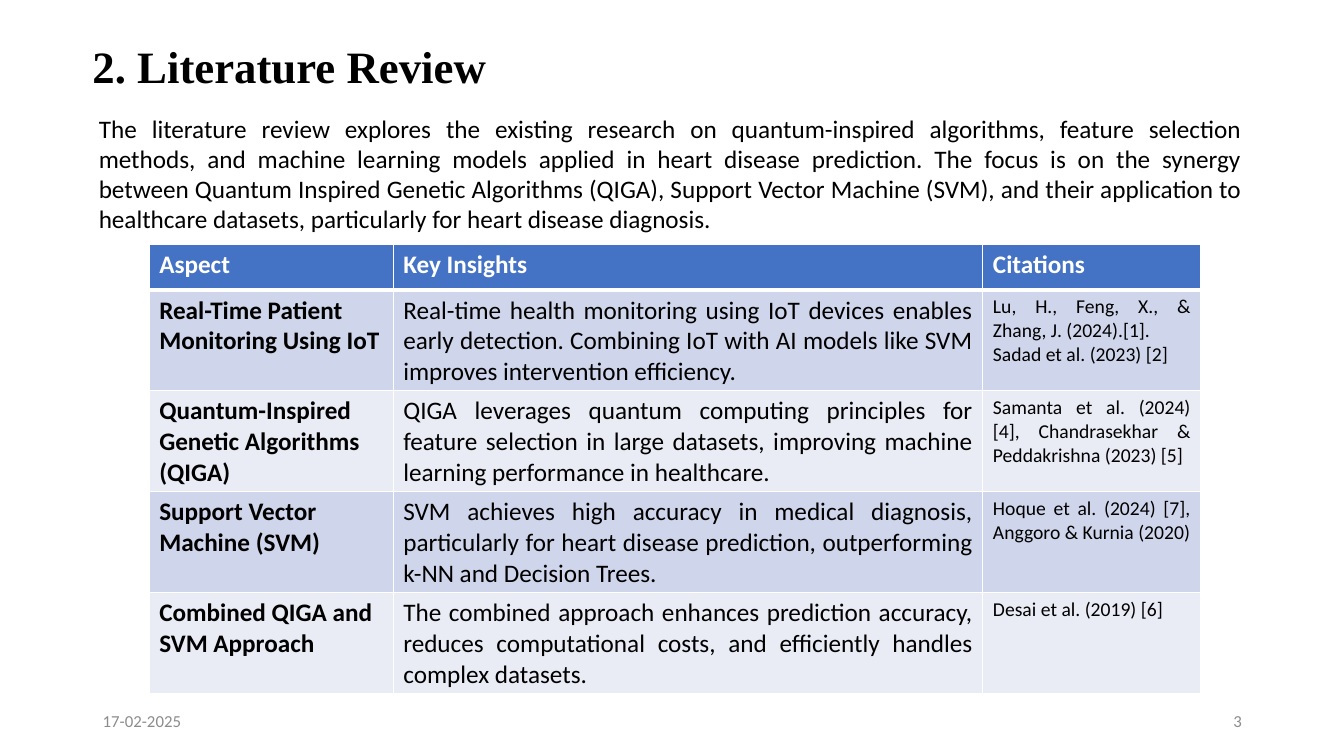
"""Builds the literature review slide with its table of key insights."""
from lxml.etree import SubElement
from pptx import Presentation
from pptx.dml.color import RGBColor
from pptx.enum.text import MSO_ANCHOR, MSO_AUTO_SIZE, PP_ALIGN
from pptx.oxml.ns import qn
from pptx.util import Cm, Pt

COLORS = {"black": "000000", "white": "FFFFFF", "grey": "8C8C8C",
          "header": "4472C4", "odd": "CFD5EA", "even": "E9EBF5"}

INTRO = ("The literature review explores the existing research on quantum-inspired algorithms, "
         "feature selection methods, and machine learning models applied in heart disease "
         "prediction. The focus is on the synergy between Quantum Inspired Genetic Algorithms "
         "(QIGA), Support Vector Machine (SVM), and their application to healthcare datasets, "
         "particularly for heart disease diagnosis.")

HEADINGS = ("Aspect", "Key Insights", "Citations")
REVIEW = [
    ("Real-Time Patient Monitoring Using IoT",
     "Real-time health monitoring using IoT devices enables early detection. Combining IoT "
     "with AI models like SVM improves intervention efficiency.",
     "Lu, H., Feng, X., & Zhang, J. (2024).[1].\nSadad et al. (2023) [2]"),
    ("Quantum-Inspired Genetic Algorithms (QIGA)",
     "QIGA leverages quantum computing principles for feature selection in large datasets, "
     "improving machine learning performance in healthcare.",
     "Samanta et al. (2024) [4], Chandrasekhar & Peddakrishna (2023) [5]"),
    ("Support Vector Machine (SVM)",
     "SVM achieves high accuracy in medical diagnosis, particularly for heart disease "
     "prediction, outperforming k-NN and Decision Trees.",
     "Hoque et al. (2024) [7], Anggoro & Kurnia (2020)"),
    ("Combined QIGA and SVM Approach",
     "The combined approach enhances prediction accuracy, reduces computational costs, and "
     "efficiently handles complex datasets.",
     "Desai et al. (2019) [6]"),
]
COLUMN_WIDTHS = (6.15, 14.86, 5.49)
COLUMN_STYLES = ({"bold": True},
                 {"align": PP_ALIGN.JUSTIFY},
                 {"align": PP_ALIGN.JUSTIFY, "size": 14})
HEADER_HEIGHT, ROW_HEIGHT = 1.14, 2.54


class ReviewSlide:
    """Holds the text style and the current slide."""

    def __init__(self, slide):
        self.slide = slide
        self.font = {"name": "Calibri", "size": Pt(18), "bold": False}

    def fill_text(self, frame, text, color="black", align=PP_ALIGN.LEFT, size=18, **font):
        """Fill a text frame, one paragraph per line of text."""
        frame.text = text
        values = {**self.font, "size": Pt(size), **font}
        for paragraph in frame.paragraphs:
            paragraph.alignment = align
            for run in paragraph.runs:
                for attribute, value in values.items():
                    setattr(run.font, attribute, value)
                run.font.color.rgb = RGBColor.from_string(COLORS[color])

    def text(self, box, text, wrap=True, anchor=MSO_ANCHOR.TOP,
             fit=MSO_AUTO_SIZE.NONE, **style):
        """Add a text box."""
        frame = self.slide.shapes.add_textbox(*map(Cm, box)).text_frame
        layout = {"word_wrap": wrap, "vertical_anchor": anchor, "auto_size": fit}
        for attribute, value in layout.items():
            setattr(frame, attribute, value)
        self.fill_text(frame, text, **style)

    def border(self, cell, **widths):
        """Draw white cell borders, with widths in points by side."""
        properties = cell._tc.get_or_add_tcPr()
        for side, width in widths.items():
            line = SubElement(properties, qn(f"a:ln{side}"), w=str(Pt(width)))
            fill = SubElement(line, qn("a:solidFill"))
            SubElement(fill, qn("a:srgbClr"), val=COLORS["white"])

    def table(self, left, top, headings, rows):
        """Add the banded table with its header row."""
        heights = [HEADER_HEIGHT] + [ROW_HEIGHT] * len(rows)
        table = self.slide.shapes.add_table(
            len(heights), len(headings), Cm(left), Cm(top),
            Cm(sum(COLUMN_WIDTHS)), Cm(sum(heights))).table
        for column, width in zip(table.columns, COLUMN_WIDTHS):
            column.width = Cm(width)
        for index, (height, texts) in enumerate(zip(heights, [headings, *rows])):
            table.rows[index].height = Cm(height)
            band = "header" if index == 0 else ("even", "odd")[index % 2]
            for column, text in enumerate(texts):
                cell = table.cell(index, column)
                self.border(cell, L=1, R=1, T=3 if index == 1 else 1,
                            B=3 if index == 0 else 1)
                cell.fill.solid()
                cell.fill.fore_color.rgb = RGBColor.from_string(COLORS[band])
                style = COLUMN_STYLES[column] if index else {"color": "white", "bold": True}
                self.fill_text(cell.text_frame, text, **style)


def main():
    presentation = Presentation()
    presentation.slide_width, presentation.slide_height = Cm(33.87), Cm(19.05)
    review = ReviewSlide(presentation.slides.add_slide(presentation.slide_layouts[6]))

    review.text((2.08, 0.84, 10.54, 1.63), "2. Literature Review", wrap=False,
                fit=MSO_AUTO_SIZE.SHAPE_TO_FIT_TEXT,
                name="Times New Roman", size=32, bold=True)
    footer = {"anchor": MSO_ANCHOR.MIDDLE, "size": 12, "color": "grey"}
    review.text((2.34, 17.65, 7.62, 1.02), "17-02-2025", **footer)
    review.text((23.93, 17.65, 7.62, 1.02), "3", align=PP_ALIGN.RIGHT, **footer)
    review.text((2.24, 2.72, 29.31, 3.33), INTRO, align=PP_ALIGN.JUSTIFY,
                fit=MSO_AUTO_SIZE.SHAPE_TO_FIT_TEXT)
    review.table(3.76, 6.17, HEADINGS, REVIEW)

    presentation.save("out.pptx")


if __name__ == "__main__":
    main()
